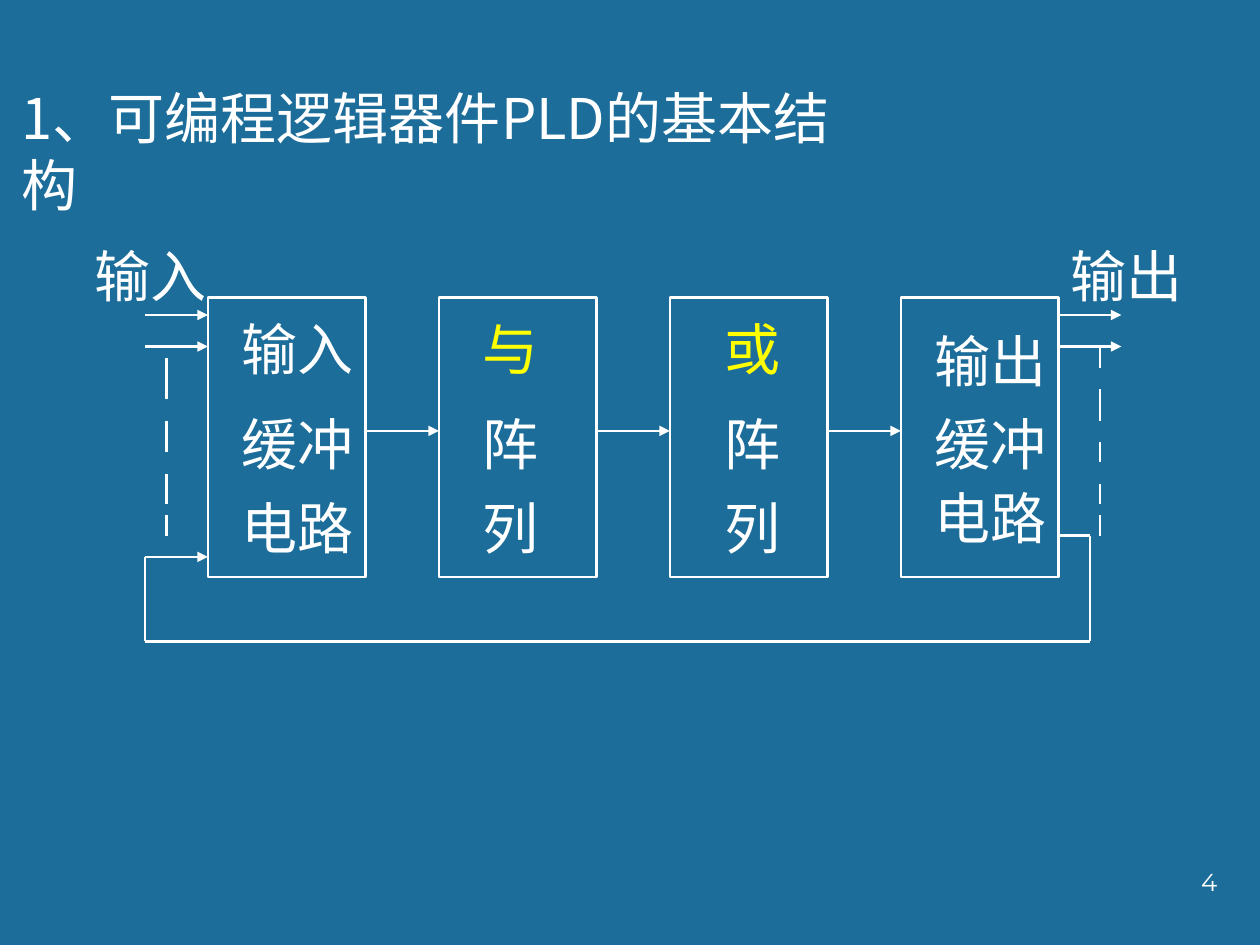
from dataclasses import dataclass

from lxml.etree import SubElement
from pptx import Presentation
from pptx.dml.color import RGBColor as RGB
from pptx.enum.shapes import MSO_CONNECTOR as CONN, MSO_SHAPE as SHAPE
from pptx.enum.text import MSO_ANCHOR as ANCHOR, MSO_AUTO_SIZE as FIT, PP_ALIGN as ALIGN
from pptx.oxml.ns import qn
from pptx.util import Inches, Pt


@dataclass(frozen=True)
class Theme:
    back: RGB = RGB(0x1C, 0x6D, 0x9A)
    ink: RGB = RGB(0xFF, 0xFF, 0xFF)
    accent: RGB = RGB(0xFF, 0xFF, 0x00)
    latin: str = "Montserrat"
    cjk: str = "Noto Sans CJK SC"
    body: int = 32
    small: int = 14
    stroke: float = 1.5


T = Theme()

# Block grid: four columns at an equal pitch
LEFT, TOP, BOX_W, BOX_H = 1.65, 2.36, 1.25, 2.22
PITCH = 5.5 / 3
RIGHT = LEFT + 3 * PITCH + BOX_W
STUB = 0.5
CHAR_W, PAD, LABEL_H = 0.44, 0.2, 0.63

# Text left edge, then (word, top) for each row of a block
BLOCKS = [
    (1.82, [("输入", 2.45), ("缓冲", 3.2), ("电路", 3.87)]),
    (3.73, [("与", 2.45), ("阵", 3.2), ("列", 3.87)]),
    (5.65, [("或", 2.45), ("阵", 3.2), ("列", 3.87)]),
    (7.32, [("输出", 2.54), ("缓冲", 3.2), ("电路", 3.79)]),
]
HIGHLIGHTS = {"与", "或"}
PORT_ROWS = (2.5, 2.75)
FLOW_Y = 3.42
# Dash spans of each dashed vertical, by x
DASHES = {
    1.32: [(2.84, 3.17), (3.34, 3.59), (3.76, 4), (4.09, 4.25)],
    8.73: [(2.76, 2.92), (3.09, 3.34), (3.51, 3.67), (3.84, 4), (4.09, 4.25)],
}
FEEDBACK = [(RIGHT, 4.25), (8.65, 4.25), (8.65, 5.09), (1.15, 5.09), (1.15, 4.42), (LEFT, 4.42)]


def set_all(obj, **values):
    for name, value in values.items():
        setattr(obj, name, value)


def write(sp, text, size=T.body, font=T.latin, color=T.ink, align=ALIGN.LEFT, wrap=True):
    tf = sp.text_frame
    set_all(tf, auto_size=FIT.NONE, word_wrap=wrap, vertical_anchor=ANCHOR.TOP)
    p = tf.paragraphs[0]
    p.alignment = align
    r = p.add_run()
    r.text = text
    set_all(r.font, size=Pt(size), name=font)
    r.font.color.rgb = color
    SubElement(r.font._element, qn("a:ea"), typeface=T.cjk)


def text_box(slide, box, text, **fmt):
    write(slide.shapes.add_textbox(*map(Inches, box)), text, **fmt)


def label(slide, x, y, word):
    color = T.accent if word in HIGHLIGHTS else T.ink
    box = (x, y, CHAR_W * len(word) + PAD, LABEL_H)
    text_box(slide, box, word, color=color, wrap=False)


def outline(line):
    line.color.rgb = T.ink
    line.width = Pt(T.stroke)


def block(slide, column):
    box = (LEFT + column * PITCH, TOP, BOX_W, BOX_H)
    sp = slide.shapes.add_shape(SHAPE.RECTANGLE, *map(Inches, box))
    sp.shadow.inherit = False
    sp.fill.background()
    outline(sp.line)


def wire(slide, start, end, arrow=False):
    c = slide.shapes.add_connector(CONN.STRAIGHT, *map(Inches, (*start, *end)))
    outline(c.line)
    if arrow:
        SubElement(c.line._get_or_add_ln(), qn("a:tailEnd"), type="triangle")
    SubElement(c._element.spPr, qn("a:effectLst"))


def add_title(slide, text):
    sp = slide.shapes.title
    set_all(sp, left=Inches(0.07), top=Inches(0.61), width=Inches(6.93), height=Inches(0.64))
    write(sp, text, font=T.cjk)


def main():
    prs = Presentation()
    set_all(prs, slide_width=Inches(10), slide_height=Inches(7.5))
    slide = prs.slides.add_slide(prs.slide_layouts[5])
    fill = slide.background.fill
    fill.solid()
    fill.fore_color.rgb = T.back

    add_title(slide, "1、可编程逻辑器件PLD的基本结构")

    # Blocks and the flow between them
    for i in range(len(BLOCKS)):
        block(slide, i)
    for i in range(len(BLOCKS) - 1):
        x = LEFT + i * PITCH + BOX_W
        wire(slide, (x, FLOW_Y), (LEFT + (i + 1) * PITCH, FLOW_Y), arrow=True)

    # Input and output ports
    for x in (LEFT - STUB, RIGHT):
        for y in PORT_ROWS:
            wire(slide, (x, y), (x + STUB, y), arrow=True)
    for x, spans in DASHES.items():
        for y0, y1 in spans:
            wire(slide, (x, y0), (x, y1))

    # Feedback path, ending in an arrow at the input block
    last = len(FEEDBACK) - 2
    for i, (start, end) in enumerate(zip(FEEDBACK, FEEDBACK[1:])):
        wire(slide, start, end, arrow=i == last)

    # Words in the blocks and over the ports
    for x, rows in BLOCKS:
        for word, y in rows:
            label(slide, x, y, word)
    label(slide, 0.65, 1.87, "输入")
    label(slide, RIGHT, 1.87, "输出")

    # Page number
    text_box(slide, (7.68, 6.83, 2.08, 0.5), "4", size=T.small, align=ALIGN.RIGHT)

    prs.save("out.pptx")


if __name__ == "__main__":
    main()
